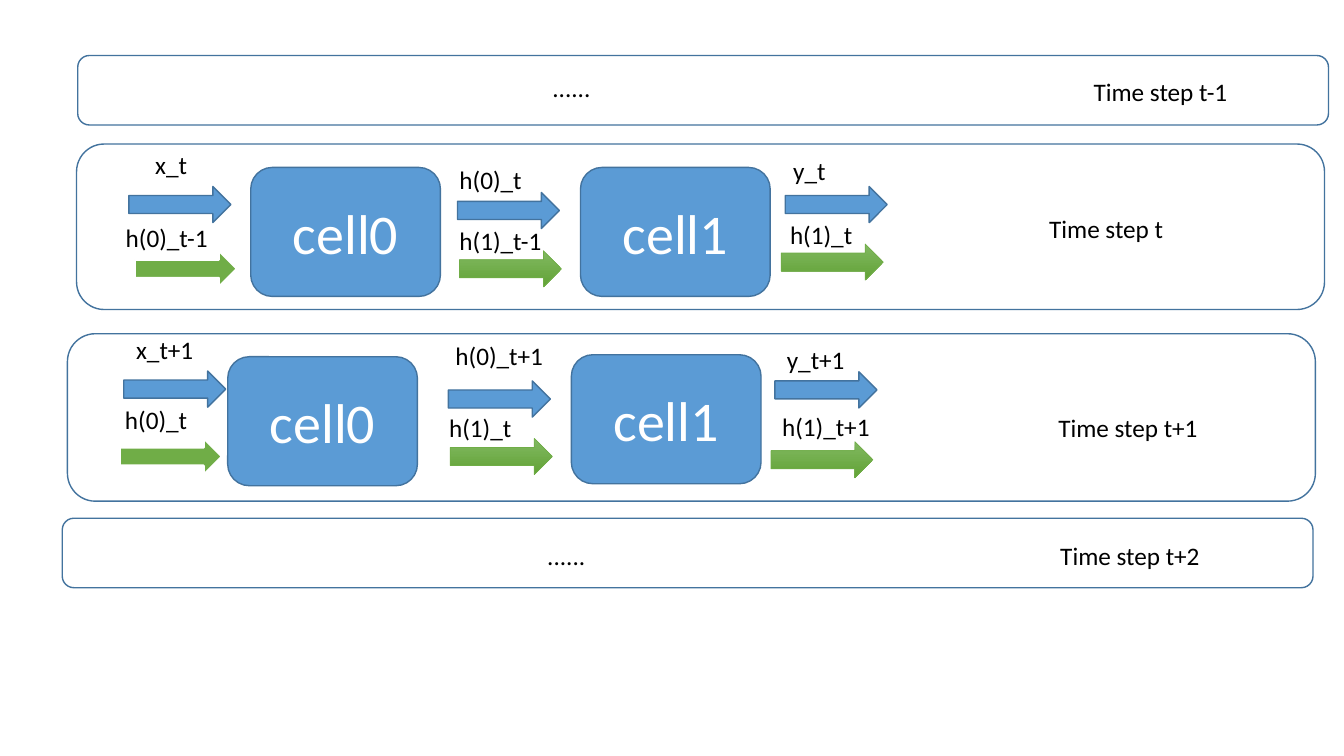
from pptx import Presentation
from pptx.dml.color import RGBColor
from pptx.enum.shapes import MSO_SHAPE
from pptx.enum.text import MSO_ANCHOR, MSO_AUTO_SIZE, PP_ALIGN
from pptx.util import Cm, Pt

COLORS = {
    "blue": "5B9BD5", "outline": "43739E", "green": "70AD47",
    "green_top": "81B861", "green_bottom": "62A336",
    "white": "FFFFFF", "black": "000000",
}
FONT = "Calibri"
CELL_SIZE = (4.78, 3.25)
ARROW_SIZE = (2.57, 0.91)
LABEL_HEIGHT = 1.02

STEPS = [
    {
        "frame": (1.93, 3.63, 31.45, 4.17),
        "cells": [("cell0", 6.32, 4.22), ("cell1", 14.63, 4.22)],
        "inputs": [(3.25, 4.70), (11.53, 4.85), (19.79, 4.70)],
        "states": [(3.40, 6.32), (11.58, 6.32), (19.69, 6.15)],
        "labels": [
            ("Time step t", 26.19, 5.26, 4.14),
            ("x_t", 3.66, 3.63, 1.73),
            ("h(0)_t-1", 2.92, 5.49, 3.10),
            ("h(0)_t", 11.33, 4.01, 3.10),
            ("h(1)_t-1", 11.33, 5.56, 3.10),
            ("y_t", 19.74, 3.78, 3.10),
            ("h(1)_t", 19.66, 5.41, 3.10),
        ],
    },
    {
        "frame": (1.70, 8.41, 31.45, 4.22),
        "cells": [("cell0", 5.74, 8.99), ("cell1", 14.40, 8.94)],
        "inputs": [(3.12, 9.35), (11.30, 9.60), (19.53, 9.37)],
        "states": [(3.02, 11.05), (11.35, 11.05), (19.43, 11.13)],
        "labels": [
            ("Time step t+1", 26.42, 10.26, 5.69),
            ("x_t+1", 3.18, 8.31, 2.46),
            ("h(0)_t", 2.90, 10.06, 3.10),
            ("h(0)_t+1", 11.23, 8.46, 3.10),
            ("h(1)_t", 11.07, 10.26, 3.10),
            ("y_t+1", 19.58, 8.56, 3.10),
            ("h(1)_t+1", 19.46, 10.24, 3.10),
        ],
    },
]
OUTER_STEPS = [
    {
        "frame": (1.96, 1.40, 31.52, 1.75),
        "labels": [("Time step t-1", 27.31, 1.80, 5.46), ("......", 13.67, 1.70, 5.69)],
    },
    {
        "frame": (1.57, 13.06, 31.52, 1.75),
        "labels": [("Time step t+2", 26.47, 13.49, 5.69), ("......", 13.54, 13.49, 5.69)],
    },
]


def color(name):
    return RGBColor.from_string(COLORS[name])


def add_block(page, kind, place, fill=None, line="outline", width=1):
    shape = page.shapes.add_shape(kind, *[Cm(length) for length in place])
    shape.shadow.inherit = False
    if fill:
        shape.fill.solid()
        shape.fill.fore_color.rgb = color(fill)
    else:
        shape.fill.background()
    shape.line.color.rgb = color(line)
    shape.line.width = Pt(width)
    return shape


def write(shape, text, size, ink):
    shape.text_frame.text = text
    font = shape.text_frame.paragraphs[0].runs[0].font
    font.name = FONT
    font.size = Pt(size)
    font.color.rgb = color(ink)


def add_cell(page, name, left, top):
    cell = add_block(page, MSO_SHAPE.ROUNDED_RECTANGLE, (left, top, *CELL_SIZE), "blue")
    write(cell, name, 40, "white")
    cell.text_frame.vertical_anchor = MSO_ANCHOR.MIDDLE
    cell.text_frame.paragraphs[0].alignment = PP_ALIGN.CENTER


def add_label(page, text, left, top, width):
    box = page.shapes.add_textbox(Cm(left), Cm(top), Cm(width), Cm(LABEL_HEIGHT))
    box.text_frame.word_wrap = True
    box.text_frame.auto_size = MSO_AUTO_SIZE.SHAPE_TO_FIT_TEXT
    write(box, text, 18, "black")


def add_arrow(page, position, *style):
    return add_block(page, MSO_SHAPE.RIGHT_ARROW, (*position, *ARROW_SIZE), *style)


def add_gradient_arrow(page, position):
    arrow = add_arrow(page, position, "green", "green", 0.5)
    arrow.fill.gradient()
    arrow.fill.gradient_angle = 270
    for stop, name in zip(arrow.fill.gradient_stops, ("green_top", "green_bottom")):
        stop.color.rgb = color(name)


def main():
    deck = Presentation()
    deck.slide_width, deck.slide_height = Cm(33.87), Cm(19.05)
    page = deck.slides.add_slide(deck.slide_layouts[6])

    for step in STEPS:
        for cell in step["cells"]:
            add_cell(page, *cell)
        for position in step["inputs"]:
            add_arrow(page, position, "blue")
        first_state, *later_states = step["states"]
        add_arrow(page, first_state, "green", "white", 1.5)
        for position in later_states:
            add_gradient_arrow(page, position)
        add_block(page, MSO_SHAPE.FLOWCHART_ALTERNATE_PROCESS, step["frame"])
    for step in OUTER_STEPS:
        add_block(page, MSO_SHAPE.ROUNDED_RECTANGLE, step["frame"])
    for step in STEPS + OUTER_STEPS:
        for label in step["labels"]:
            add_label(page, *label)

    deck.save("out.pptx")


if __name__ == "__main__":
    main()
